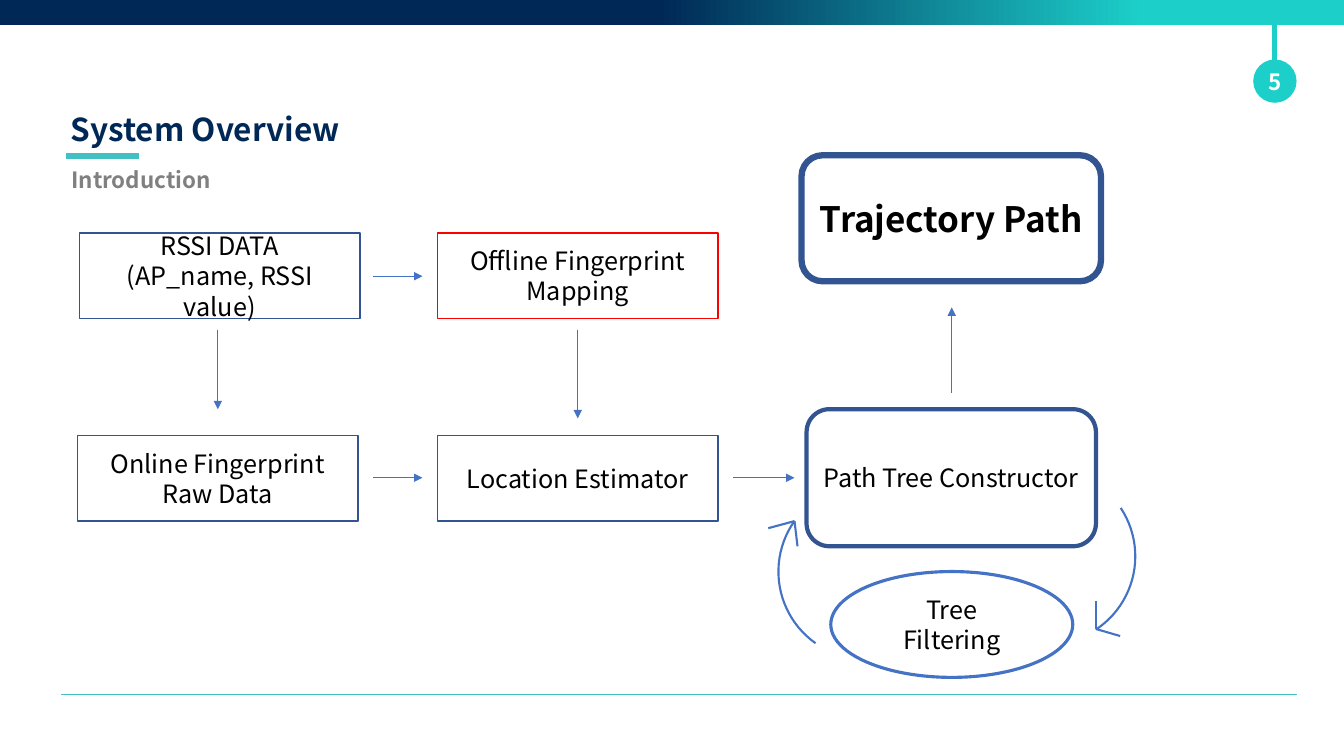
from lxml.etree import SubElement
from pptx import Presentation
from pptx.dml.color import RGBColor
from pptx.enum.shapes import MSO_CONNECTOR as Connector, MSO_SHAPE as Shape
from pptx.enum.text import MSO_ANCHOR as Anchor, PP_ALIGN as Align
from pptx.oxml.ns import qn
from pptx.util import Inches, Pt

NAVY = RGBColor(0x00, 0x28, 0x56)
TURQUOISE = RGBColor(0x1C, 0xCF, 0xC9)
TEAL = RGBColor(0x43, 0xC0, 0xC2)
OUTLINE = RGBColor(0x32, 0x54, 0x91)
BLUE = RGBColor(0x44, 0x72, 0xC4)
RED = RGBColor(0xFF, 0x00, 0x00)
GRAY = RGBColor(0x80, 0x80, 0x80)
BLACK = RGBColor(0x00, 0x00, 0x00)
WHITE = RGBColor(0xFF, 0xFF, 0xFF)


class SlideBuilder:
    """Holds the slide and its style, and adds each kind of element."""

    font_name = "Noto Sans CJK KR"

    def __init__(self, slide):
        """Keep the slide that receives the elements."""
        self.slide = slide

    def set_text(self, frame, text, size, color, bold, align):
        """Fill a text frame, one paragraph per line of text."""
        frame.word_wrap = True
        frame.text = text
        for paragraph in frame.paragraphs:
            paragraph.alignment = align
            font = paragraph.font
            font.name, font.size, font.bold = self.font_name, Pt(size), bold
            font.color.rgb = color

    def heading(self, box, text, size, color):
        """Add a bold, left-aligned text box."""
        text_box = self.slide.shapes.add_textbox(*map(Inches, box))
        self.set_text(text_box.text_frame, text, size, color, True, Align.LEFT)

    def shape(self, kind, box, text="", size=18, color=BLACK, bold=False,
              fill=None, line=None, width=1, rotation=0):
        """Add a preset shape with optional centred text, fill and outline."""
        shape = self.slide.shapes.add_shape(kind, *map(Inches, box))
        shape.shadow.inherit = False
        shape.rotation = rotation
        if fill is None:
            shape.fill.background()
        else:
            shape.fill.solid()
            shape.fill.fore_color.rgb = fill
        if line is None:
            shape.line.fill.background()
        else:
            shape.line.color.rgb = line
            shape.line.width = Pt(width)
        if text:
            shape.text_frame.vertical_anchor = Anchor.MIDDLE
            self.set_text(shape.text_frame, text, size, color, bold, Align.CENTER)
        return shape

    def gradient_bar(self, box, stops):
        """Add a left-to-right gradient bar from (position, colour) stops."""
        fill = self.shape(Shape.RECTANGLE, box).fill
        fill.gradient()
        fill.gradient_angle = 0
        for stop, (position, color) in zip(fill.gradient_stops, stops):
            stop.position = position
            stop.color.rgb = color

    def line(self, start, end, color=BLUE, width=0.5, arrow=False):
        """Add a straight line, with an arrowhead at its end if asked."""
        connector = self.slide.shapes.add_connector(
            Connector.STRAIGHT, *map(Inches, (*start, *end)))
        connector.line.color.rgb = color
        connector.line.width = Pt(width)
        properties = connector._element.spPr
        if arrow:
            SubElement(properties.find(qn("a:ln")), qn("a:tailEnd"),
                       type="triangle")
        SubElement(properties, qn("a:effectLst"))

    def loop_arrow(self, box, rotation, tip, barbs):
        """Add an arc and the two barbs of its open arrowhead."""
        self.shape(Shape.ARC, box, line=BLUE, width=1.5, rotation=rotation)
        for barb in barbs:
            self.line(tip, barb, width=1.5)


presentation = Presentation()
presentation.slide_width = Inches(13.33)
presentation.slide_height = Inches(7.5)
builder = SlideBuilder(presentation.slides.add_slide(presentation.slide_layouts[6]))

# Header, page number and footer rule
builder.heading((0.6, 1.04, 11.61, 0.48), "System Overview", 22.5, NAVY)
builder.line((0.65, 1.55), (1.38, 1.55), TEAL, 4.5)
builder.line((0.61, 6.89), (12.86, 6.89), TEAL)
builder.gradient_bar((0, 0, 13.33, 0.25), [(0.49, NAVY), (0.85, TURQUOISE)])
builder.line((12.64, 0), (12.64, 0.8), TURQUOISE, 3.25)
page_badge = builder.shape(Shape.OVAL, (12.43, 0.59, 0.43, 0.43), "5", 16, WHITE,
                           True, fill=TURQUOISE)
page_badge.text_frame.margin_left = page_badge.text_frame.margin_right = 0
builder.heading((0.61, 1.6, 2.16, 0.37), "Introduction", 16, GRAY)

# Processing steps
TOP_ROW, BOTTOM_ROW = 2.31, 4.32
STEP_WIDTH, STEP_HEIGHT = 2.78, 0.85
for left, top, text, color in [
    (0.79, TOP_ROW, "RSSI DATA\n(AP_name, RSSI value)", OUTLINE),
    (0.77, BOTTOM_ROW, "Online Fingerprint\nRaw Data", OUTLINE),
    (4.34, TOP_ROW, "Offline Fingerprint\nMapping", RED),
    (4.34, BOTTOM_ROW, "Location Estimator", OUTLINE),
]:
    builder.shape(Shape.RECTANGLE, (left, top, STEP_WIDTH, STEP_HEIGHT), text,
                  line=color)

# Path tree and result
builder.shape(Shape.ROUNDED_RECTANGLE, (8, 4.06, 2.87, 1.36),
              "Path Tree Constructor", line=OUTLINE, width=3)
builder.shape(Shape.OVAL, (8.24, 5.67, 2.4, 1.05), "Tree Filtering",
              line=BLUE, width=2.25)
builder.shape(Shape.ROUNDED_RECTANGLE, (7.95, 1.54, 2.97, 1.25),
              "Trajectory Path", 25, bold=True, line=OUTLINE, width=4.5)

# Flow between the steps
for start, end in [
    ((3.7, 2.74), (4.19, 2.74)),
    ((3.7, 4.74), (4.19, 4.74)),
    ((7.27, 4.74), (7.88, 4.74)),
    ((2.16, 3.27), (2.16, 4.06)),
    ((5.73, 3.27), (5.73, 4.15)),
    ((9.44, 3.9), (9.44, 3.05)),
]:
    builder.line(start, end, arrow=True)

# Filtering loop
builder.loop_arrow((9.52, 4.65, 1.74, 1.74), 56.5, (10.87, 6.24),
                   [(10.87, 5.96), (11.11, 6.31)])
builder.loop_arrow((7.72, 4.8, 1.74, 1.74), 215.2, (7.88, 5.17),
                   [(7.62, 5.24), (7.91, 5.42)])

presentation.save("out.pptx")
